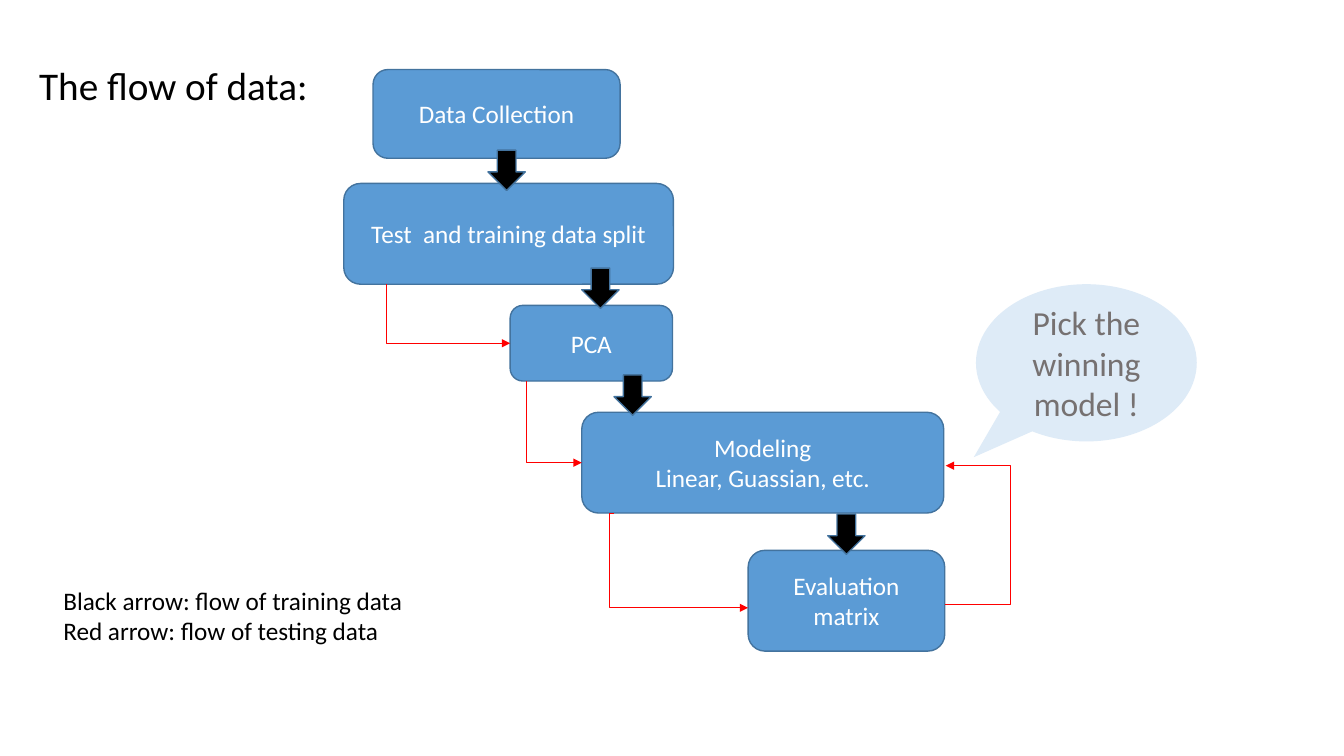
from dataclasses import dataclass

from lxml import etree
from pptx import Presentation
from pptx.dml.color import RGBColor
from pptx.enum.shapes import MSO_CONNECTOR, MSO_SHAPE
from pptx.enum.text import MSO_ANCHOR, MSO_AUTO_SIZE, PP_ALIGN
from pptx.oxml.ns import qn
from pptx.util import Inches, Pt

ROUND = MSO_SHAPE.ROUNDED_RECTANGLE
DOWN = MSO_SHAPE.DOWN_ARROW
BUBBLE = MSO_SHAPE.OVAL_CALLOUT
ELBOW = MSO_CONNECTOR.ELBOW
LEFT, CENTER = PP_ALIGN.LEFT, PP_ALIGN.CENTER
MIDDLE = MSO_ANCHOR.MIDDLE
GROW = MSO_AUTO_SIZE.SHAPE_TO_FIT_TEXT
LEFT_SIDE = 1


@dataclass(frozen=True)
class Theme:
    """Colours, font and sizes of the slide."""

    font: str = "Calibri"
    box: str = "5B9BD5"
    edge: str = "43739E"
    train: str = "000000"
    test: str = "FF0000"
    bubble: str = "DEEBF7"
    ink: str = "000000"
    light: str = "FFFFFF"
    grey: str = "767171"
    title: int = 28
    large: int = 24
    body: int = 18


def write(frame, text, font, size, color, align=LEFT):
    """Fill a text frame, one paragraph for each line."""
    for index, line in enumerate(text.split("\n")):
        para = frame.add_paragraph() if index else frame.paragraphs[0]
        para.alignment = align
        run = para.add_run()
        run.text = line
        run.font.name = font
        run.font.size = Pt(size)
        run.font.color.rgb = RGBColor.from_string(color)


class Flow:
    """Draws the parts of a flow chart on one slide."""

    def __init__(self, slide, theme):
        """Keep the slide and its theme."""
        self.shapes = slide.shapes
        self.theme = theme

    def shape(self, kind, place, fill, edge=None):
        """Add a filled shape without a shadow."""
        shape = self.shapes.add_shape(kind, *map(Inches, place))
        shape.shadow.inherit = False
        shape.fill.solid()
        shape.fill.fore_color.rgb = RGBColor.from_string(fill)
        if edge:
            shape.line.color.rgb = RGBColor.from_string(edge)
            shape.line.width = Pt(1)
        else:
            shape.line.fill.background()
        return shape

    def label(self, shape, text, size, color):
        """Centre a text in a shape."""
        frame = shape.text_frame
        frame.word_wrap = True
        frame.vertical_anchor = MIDDLE
        write(frame, text, self.theme.font, size, color, align=CENTER)

    def step(self, text, *place):
        """Add a rounded box for one step."""
        look = self.theme
        box = self.shape(ROUND, place, look.box, look.edge)
        self.label(box, text, look.body, look.light)
        return box

    def train(self, left, top):
        """Add a block arrow for training data."""
        self.shape(DOWN, (left, top, 0.37, 0.4), self.theme.train, self.theme.edge)

    def test(self, start, end, bend, goal=None):
        """Add a bent arrow for testing data, with its upright at bend."""
        link = self.shapes.add_connector(ELBOW, *map(Inches, start + end))
        link.line.color.rgb = RGBColor.from_string(self.theme.test)
        link.line.width = Pt(0.5)
        props = link._element.spPr
        share = round((bend - start[0]) / (end[0] - start[0]) * 100000)
        guides = props.find(qn("a:prstGeom")).get_or_add_avLst()
        etree.SubElement(guides, qn("a:gd"), name="adj1", fmla=f"val {share}")
        etree.SubElement(props.find(qn("a:ln")), qn("a:tailEnd"), type="triangle")
        etree.SubElement(props, qn("a:effectLst"))
        if goal is not None:
            link.end_connect(goal, LEFT_SIDE)

    def bubble(self, text, place, tip):
        """Add a speech bubble whose tail ends at tip."""
        shape = self.shape(BUBBLE, place, self.theme.bubble)
        shape.adjustments[0], shape.adjustments[1] = tip
        self.label(shape, text, self.theme.large, self.theme.grey)

    def note(self, text, place, size):
        """Add plain text that does not wrap."""
        frame = self.shapes.add_textbox(*map(Inches, place)).text_frame
        frame.word_wrap = False
        frame.auto_size = GROW
        write(frame, text, self.theme.font, size, self.theme.ink)


def main():
    """Build the slide and save it."""
    deck = Presentation()
    deck.slide_width, deck.slide_height = Inches(13.33), Inches(7.5)
    theme = Theme()
    flow = Flow(deck.slides.add_slide(deck.slide_layouts[6]), theme)

    flow.step("Data Collection", 3.7, 0.69, 2.45, 0.88)
    flow.step("Test  and training data split", 3.41, 1.82, 3.27, 1)
    pca = flow.step("PCA", 5.06, 3.03, 1.61, 0.75)
    model = flow.step("Modeling\nLinear, Guassian, etc.", 5.77, 4.09, 3.59, 1)
    flow.step("Evaluation matrix", 7.42, 5.46, 1.95, 1)

    for spot in ((4.84, 1.49), (5.77, 2.66), (6.09, 3.72), (8.21, 5.1)):
        flow.train(*spot)

    flow.test((3.83, 2.82), (5.06, 3.41), 3.83, goal=pca)
    flow.test((5.22, 3.78), (5.77, 4.59), 5.22, goal=model)
    flow.test((6.09, 5.09), (7.42, 6.03), 6.04)
    flow.test((9.37, 6), (9.38, 4.62), 10.03)

    flow.bubble("Pick the winning model !", (9.68, 2.82, 2.19, 1.56), (-0.51, 0.6))
    flow.note("The flow of data:", (0.29, 0.56, 2.89, 0.57), theme.title)
    flow.note(
        "Black arrow: flow of training data\nRed arrow: flow of testing data",
        (0.53, 5.76, 3.6, 0.71),
        theme.body,
    )
    deck.save("out.pptx")


if __name__ == "__main__":
    main()
